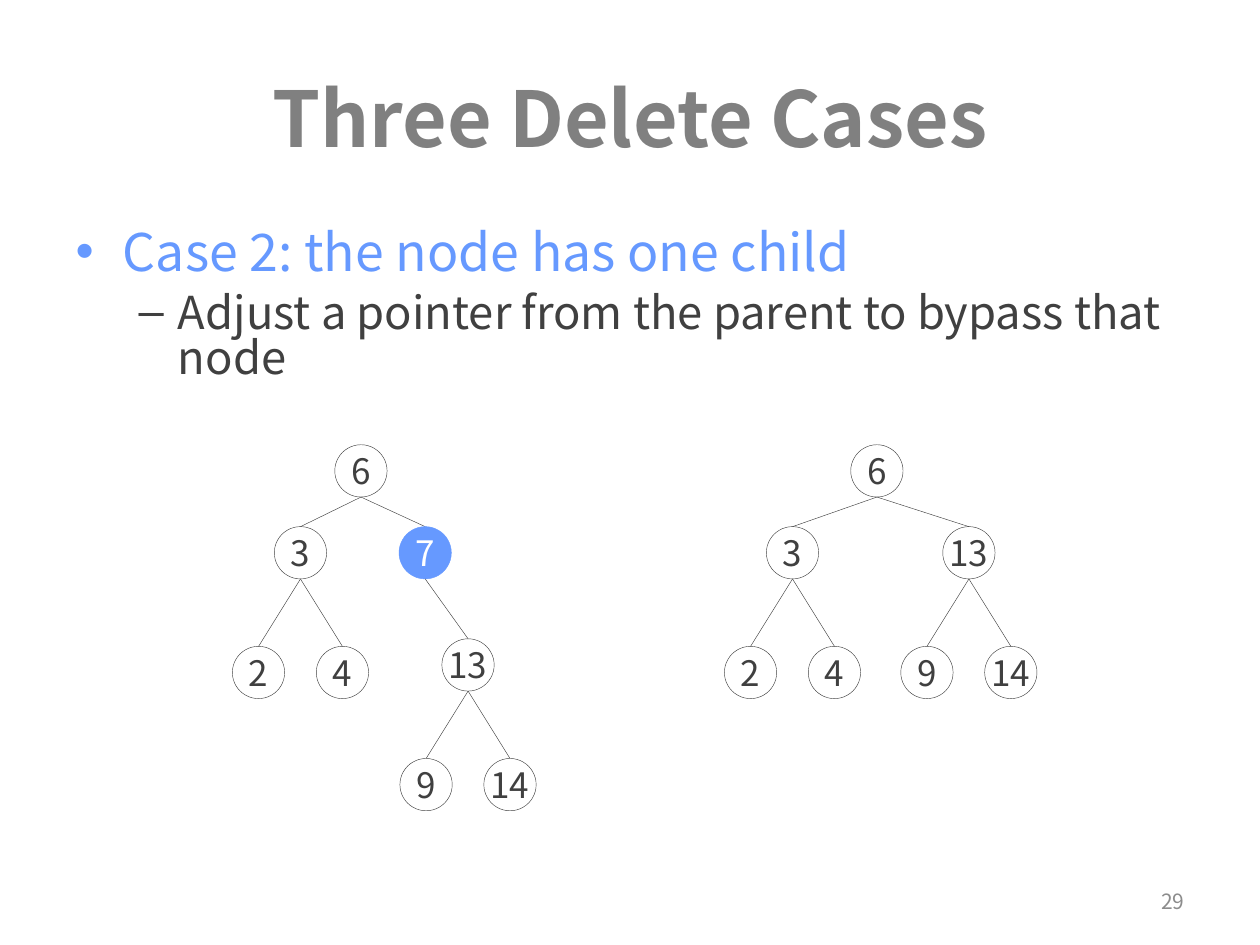
from collections import namedtuple

from lxml import etree
from pptx import Presentation
from pptx import util as u
from pptx.dml.color import RGBColor
from pptx.enum import shapes, text
from pptx.oxml.ns import qn

GREY = RGBColor(0x80, 0x80, 0x80)
PALE = RGBColor(0x8C, 0x8C, 0x8C)
DARK = RGBColor(0x40, 0x40, 0x40)
BLUE = RGBColor(0x66, 0x99, 0xFF)
WHITE = RGBColor(0xFF, 0xFF, 0xFF)
FONT = "Noto Sans CJK SC"
COLUMNS, ROWS = 100, 75
NODE_SIZE = 4.15

Node = namedtuple("Node", "key shift drop children marked", defaults=((), False))


def write(paragraph, wording, size, color, bold=False, align=None, level=0,
          spacing=None, before=None):
    paragraph.level = level
    paragraph.alignment = align
    paragraph.line_spacing = spacing
    paragraph.space_before = before
    run = paragraph.add_run()
    run.text = wording
    run.font.name = FONT
    run.font.size = u.Pt(size)
    run.font.bold = bold
    run.font.color.rgb = color


class TreeSlide:
    def __init__(self, deck):
        self.column = deck.slide_width / COLUMNS
        self.row = deck.slide_height / ROWS
        self.slide = deck.slides.add_slide(deck.slide_layouts[1])
        self.shapes = self.slide.shapes

    def box(self, left, top, width, height):
        return (round(left * self.column), round(top * self.row),
                round(width * self.column), round(height * self.row))

    def place(self, holder, *area):
        holder.left, holder.top, holder.width, holder.height = self.box(*area)
        holder.text_frame.auto_size = text.MSO_AUTO_SIZE.NONE
        return holder.text_frame

    def title(self, wording):
        frame = self.place(self.shapes.title, 5, 3, 90, 12.5)
        frame.vertical_anchor = text.MSO_ANCHOR.MIDDLE
        write(frame.paragraphs[0], wording, 44, GREY, bold=True,
              align=text.PP_ALIGN.CENTER)

    def outline(self, case, action):
        frame = self.place(self.slide.placeholders[1], 5, 17.5, 90, 13.4)
        frame.margin_top = u.Inches(0.08)
        write(frame.paragraphs[0], case, 29.6, BLUE, spacing=0.82,
              before=u.Pt(0))
        write(frame.add_paragraph(), action, 25.9, DARK, level=1, spacing=0.82,
              before=u.Pt(7))

    def page_number(self, number):
        frame = self.shapes.add_textbox(*self.box(71.7, 69.5, 23.3, 4)).text_frame
        frame.word_wrap = True
        frame.vertical_anchor = text.MSO_ANCHOR.MIDDLE
        write(frame.paragraphs[0], number, 12, PALE, align=text.PP_ALIGN.RIGHT)

    def edge(self, x1, y1, x2, y2):
        link = self.shapes.add_connector(
            shapes.MSO_CONNECTOR.STRAIGHT,
            *self.box(x1, y1, x2, y2))
        link.line.color.rgb = DARK
        link.line.width = u.Pt(0.25)
        etree.SubElement(link._element.spPr, qn("a:effectLst"))

    def node(self, key, center, top, marked):
        circle = self.shapes.add_shape(
            shapes.MSO_SHAPE.OVAL,
            *self.box(center - NODE_SIZE / 2, top, NODE_SIZE, NODE_SIZE))
        circle.shadow.inherit = False
        circle.line.width = u.Pt(0.25)
        circle.line.color.rgb = BLUE if marked else DARK
        if marked:
            circle.fill.solid()
            circle.fill.fore_color.rgb = BLUE
        else:
            circle.fill.background()
        frame = circle.text_frame
        frame.word_wrap = False
        frame.vertical_anchor = text.MSO_ANCHOR.MIDDLE
        write(frame.paragraphs[0], key, 20, WHITE if marked else DARK,
              align=text.PP_ALIGN.CENTER)

    def tree(self, root, x, y):
        center, top = x + root.shift, y + root.drop
        self.node(root.key, center, top, root.marked)
        for child in root.children:
            self.edge(center, top + NODE_SIZE,
                      center + child.shift, top + child.drop)
            self.tree(child, center, top)


def leaves(left, right):
    return Node(left, -3.33, 9.5), Node(right, 3.33, 9.5)


def main():
    deck = Presentation()
    deck.slide_width, deck.slide_height = u.Inches(10), u.Inches(7.5)
    page = TreeSlide(deck)
    page.title("Three Delete Cases")
    page.outline("Case 2: the node has one child",
                 "Adjust a pointer from the parent to bypass that node")
    page.page_number("29")

    before = Node("6", 0, 0, (
        Node("3", -4.8, 6.5, leaves("2", "4")),
        Node("7", 5.1, 6.5, (Node("13", 3.4, 8.9, leaves("9", "14")),), True),
    ))
    after = Node("6", 0, 0, (
        Node("3", -6.7, 6.5, leaves("2", "4")),
        Node("13", 7.3, 6.5, leaves("9", "14")),
    ))
    page.tree(before, 28.65, 35.3)
    page.tree(after, 69.6, 35.3)
    deck.save("out.pptx")


if __name__ == "__main__":
    main()
